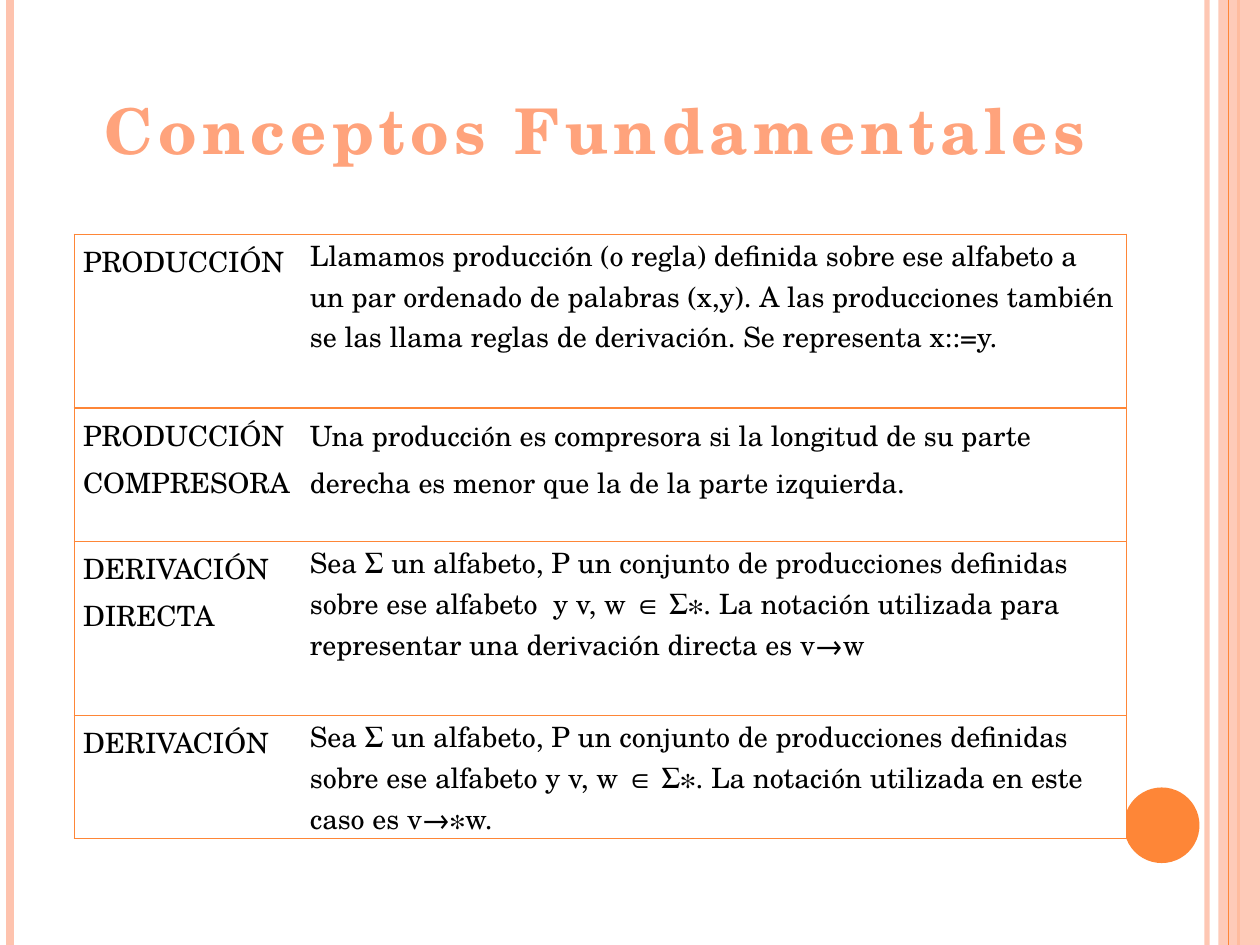
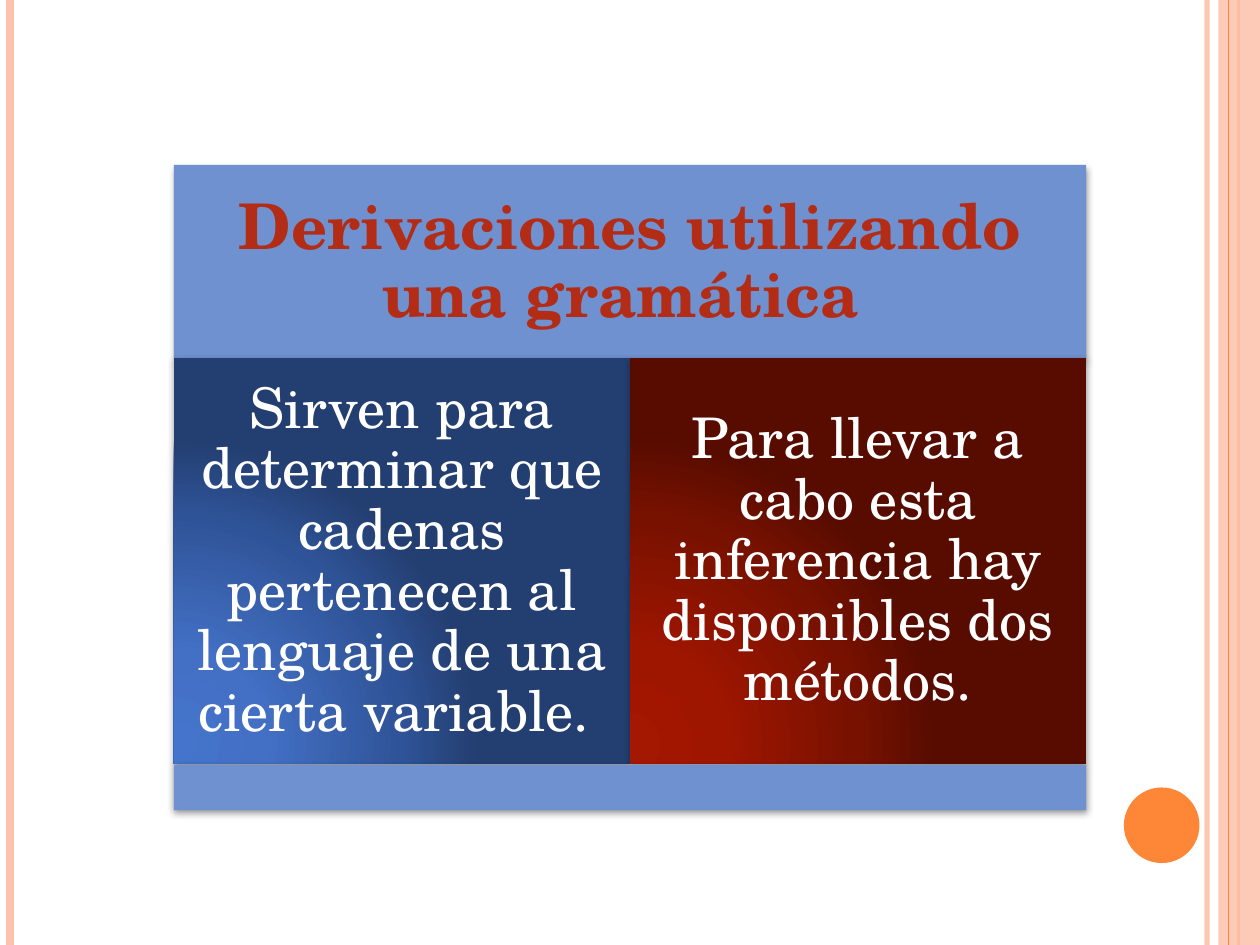
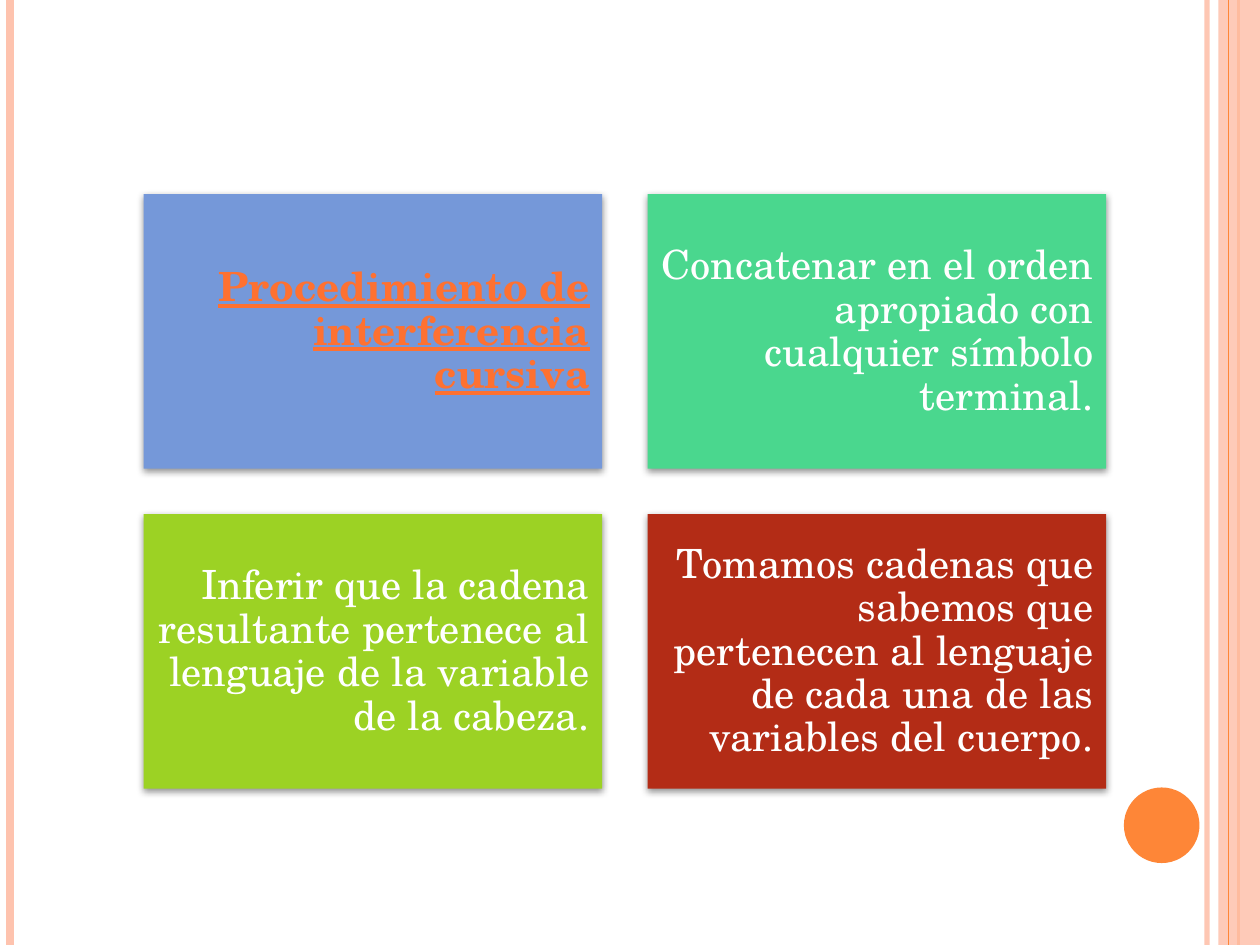
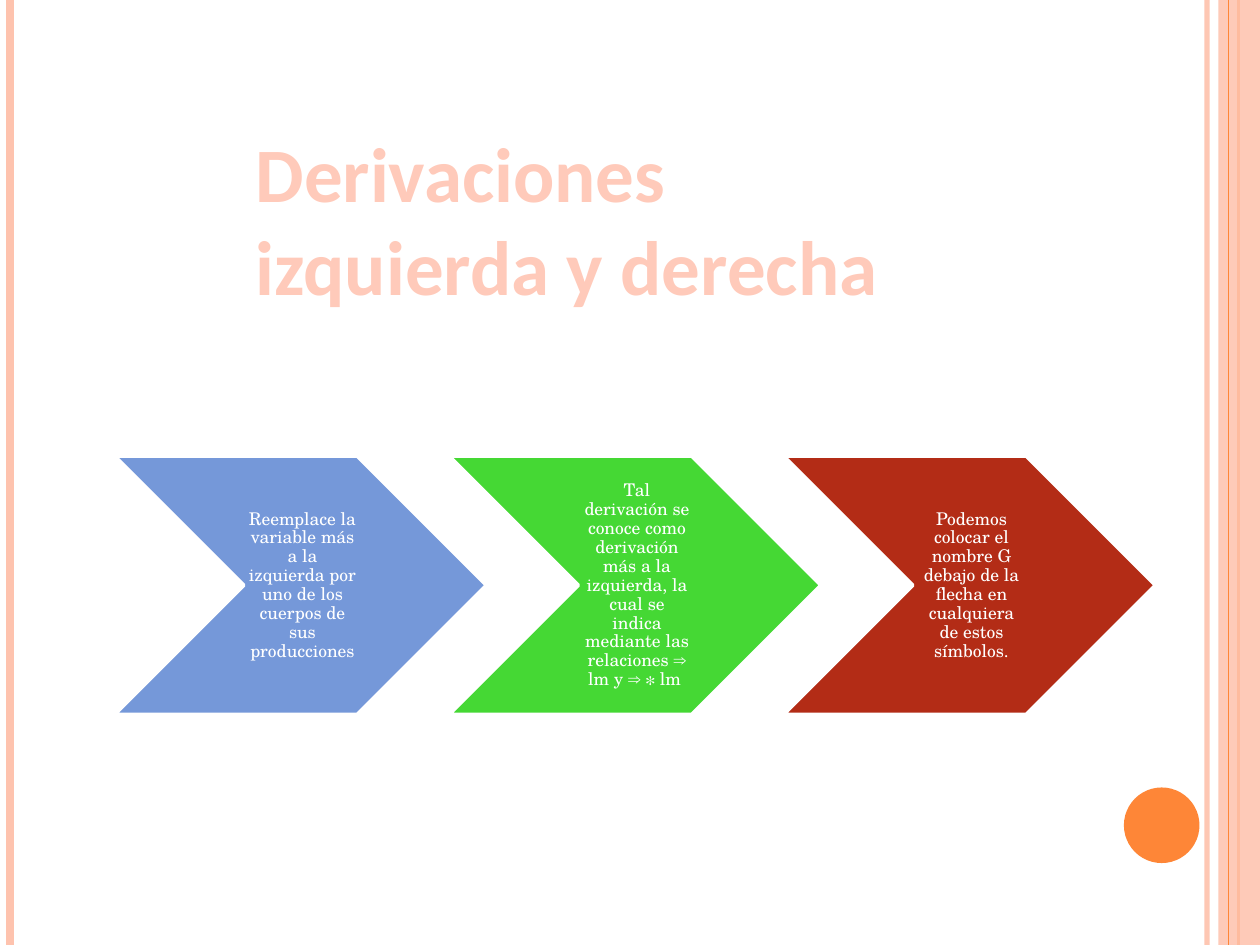
from pptx import Presentation
from pptx.dml.color import RGBColor
from pptx.enum.shapes import MSO_CONNECTOR as Connector, MSO_SHAPE as Preset
from pptx.enum.text import MSO_ANCHOR as Anchor, MSO_AUTO_SIZE as AutoSize, PP_ALIGN as Align
from pptx.oxml import parse_xml
from pptx.oxml.ns import nsdecls, qn
from pptx.util import Emu, Inches, Pt

COLORS = {
    "white": "FFFFFF", "black": "000000", "peach": "FEC3AE", "orange": "FE8637",
    "title": "FFA37C", "pale_title": "FFCABA", "heading": "FE7131",
    "band": "7091CF", "blue": "7598D9", "mint": "4AD78E", "lime": "9CD224",
    "green": "45D834", "red": "B32C16",
}
BLUE_GLOW = {0: "4574CC", 30: "4370C5", 75: "2F5397", 100: "233E70"}
RED_GLOW = {0: "A41700", 30: "9F1600", 75: "771100", 100: "580C00"}
SERIF, SANS = "TeX Gyre Schola", "Calibri"
COLUMNS, ROWS = 10, 7.5
DIAGRAM_LEADING = 1.08

DEFINITIONS = [
    ("PRODUCCIÓN", 1.38, 1,
     "Llamamos producción (o regla) definida sobre ese alfabeto a un par ordenado de palabras (x,y). "
     "A las producciones también se las llama reglas de derivación. Se representa x::=y."),
    ("PRODUCCIÓN COMPRESORA", 1.06, 1.15,
     "Una producción es compresora si la longitud de su parte derecha es menor que la de la parte "
     "izquierda."),
    ("DERIVACIÓN DIRECTA", 1.38, 1,
     "Sea Σ un alfabeto, P un conjunto de producciones definidas sobre ese alfabeto  y v, w ∈ Σ∗. "
     "La notación utilizada para representar una derivación directa es v→w"),
    ("DERIVACIÓN", 0.92, 1,
     "Sea Σ un alfabeto, P un conjunto de producciones definidas sobre ese alfabeto y v, w ∈ Σ∗. "
     "La notación utilizada en este caso es v→∗w."),
]
PURPOSES = [
    (BLUE_GLOW, "Sirven para determinar que cadenas pertenecen al lenguaje de una cierta variable. "),
    (RED_GLOW, "Para llevar a cabo esta inferencia hay disponibles dos métodos."),
]
PROCEDURE = [
    ("blue", "Procedimiento de interferencia cursiva"),
    ("mint", "Concatenar en el orden apropiado con cualquier símbolo terminal."),
    ("lime", "Inferir que la cadena resultante pertenece al lenguaje de la variable de la cabeza."),
    ("red", "Tomamos cadenas que sabemos que pertenecen al lenguaje de cada una de las variables "
            "del cuerpo."),
]
STEPS = [
    ("blue", "Reemplace la variable más a la izquierda por uno de los cuerpos de sus producciones"),
    ("green", "Tal derivación se conoce como derivación más a la izquierda, la cual se indica mediante "
              "las relaciones ⇒ lm y ⇒ ∗ lm "),
    ("red", "Podemos colocar el nombre G debajo de la flecha en cualquiera de estos símbolos."),
]


def rgb(name):
    return RGBColor.from_string(COLORS[name])


def xml(tag, attributes="", inner=""):
    return parse_xml(f"<a:{tag} {nsdecls('a')} {attributes}>{inner}</a:{tag}>")


def set_alpha(element, percent):
    element.find(".//" + qn("a:srgbClr")).append(xml("alpha", f'val="{percent * 1000}"'))


class Deck:
    """Holds the style and the current slide; lengths are cells of a 10 by 7.5 grid."""

    def __init__(self):
        self.prs = Presentation()
        self.prs.slide_width, self.prs.slide_height = Inches(10), Inches(7.5)
        self.cell = self.prs.slide_width / COLUMNS

    def grid(self, *cells):
        return [Emu(round(count * self.cell)) for count in cells]

    def new_slide(self):
        self.slide = self.prs.slides.add_slide(self.prs.slide_layouts[6])
        self.rule(9.58, "peach", 3, alpha=93)
        self.rule(0.08, "peach", 4.5)
        self.rule(9.83, "orange", 1.5)
        edge = self.shape((9.67, 0, 0.33, ROWS), "peach")
        set_alpha(edge._element.spPr, 87)
        self.rule(9.75, "orange", 0.75)
        self.shape((8.92, 6.25, 0.6, 0.6), "orange", Preset.OVAL)

    def rule(self, column, color, width, alpha=None):
        """Vertical line over the whole height of the slide."""
        rule = self.slide.shapes.add_connector(
            Connector.STRAIGHT, *self.grid(column, 0, column, ROWS))
        rule.line.color.rgb, rule.line.width = rgb(color), Pt(width)
        properties = rule._element.spPr
        properties.append(xml("effectLst"))
        if alpha:
            set_alpha(properties, alpha)

    def shape(self, box, color=None, preset=Preset.RECTANGLE, outline=None):
        shape = self.slide.shapes.add_shape(preset, *self.grid(*box))
        shape.shadow.inherit = False
        if color:
            shape.fill.solid()
            shape.fill.fore_color.rgb = rgb(color)
        if outline:
            shape.line.color.rgb, shape.line.width = rgb(outline), Pt(2)
        else:
            shape.line.fill.background()
        return shape

    def panel(self, box, color=None, glow=None):
        """Rectangle with a soft shadow, filled plainly or with a glow from its lower left."""
        panel = self.shape(box, color)
        properties = panel._element.spPr
        properties.find(qn("a:effectLst")).append(xml(
            "outerShdw", 'blurRad="50800" dist="20320" dir="5400000" rotWithShape="0"',
            '<a:srgbClr val="000000"><a:alpha val="42000"/></a:srgbClr>'))
        if glow:
            stops = "".join(f'<a:gs pos="{share * 1000}"><a:srgbClr val="{tone}"/></a:gs>'
                            for share, tone in glow.items())
            center = '<a:fillToRect l="5000" t="100000" r="120000" b="10000"/>'
            properties.find(qn("a:prstGeom")).addnext(xml(
                "gradFill", 'rotWithShape="1"',
                f'<a:gsLst>{stops}</a:gsLst><a:path path="circle">{center}</a:path>'))
        return panel

    def set_text(self, frame, text, size, color="white", align=Align.CENTER, font=SERIF,
                 bold=False, underline=False, leading=None):
        frame.text = text
        paragraph = frame.paragraphs[0]
        paragraph.alignment, paragraph.line_spacing = align, leading
        for run in paragraph.runs:
            run.font.name, run.font.size = font, Pt(size)
            run.font.bold, run.font.underline = bold, underline
            run.font.color.rgb = rgb(color)
        return paragraph

    def label(self, shape, text, size, insets, **style):
        frame = shape.text_frame
        frame.word_wrap, frame.vertical_anchor = True, Anchor.MIDDLE
        (frame.margin_left, frame.margin_top,
         frame.margin_right, frame.margin_bottom) = self.grid(*insets)
        self.set_text(frame, text, size, leading=Pt(round(size * DIAGRAM_LEADING, 1)), **style)

    def title(self, box, text, size, color, wrap=True, spacing=0, **style):
        frame = self.slide.shapes.add_textbox(*self.grid(*box)).text_frame
        frame.word_wrap, frame.auto_size = wrap, AutoSize.SHAPE_TO_FIT_TEXT
        frame.vertical_anchor = Anchor.MIDDLE if wrap else Anchor.TOP
        title = self.set_text(frame, text, size, color, bold=True, **style)
        if spacing:
            title.runs[0].font._element.set("spc", str(spacing * 100))

    def definitions(self, box, widths, entries):
        """Two-column table of terms and meanings, ruled between rows only."""
        table = self.slide.shapes.add_table(len(entries), 2, *self.grid(*box)).table
        table.first_row = table.horz_banding = False
        for column, width in zip(table.columns, self.grid(*widths)):
            column.width = width
        for row, (term, height, leading, meaning) in enumerate(entries):
            table.rows[row].height = self.grid(height)[0]
            self.table_cell(table.cell(row, 0), term, Align.JUSTIFY, 1.15, "LTB")
            self.table_cell(table.cell(row, 1), meaning, Align.LEFT, leading, "RTB")

    def table_cell(self, cell, text, align, leading, ruled_sides):
        (cell.margin_left, cell.margin_top,
         cell.margin_right, cell.margin_bottom) = self.grid(0.07, 0, 0.07, 0)
        self.set_text(cell.text_frame, text, 16, "black", align, leading=leading)
        cell.fill.solid()
        cell.fill.fore_color.rgb = rgb("white")
        ink = f'<a:solidFill><a:srgbClr val="{COLORS["orange"]}"/></a:solidFill>'
        for position, side in enumerate("LRTB"):
            cell._tc.tcPr.insert(position, xml(
                f"ln{side}", 'w="12700"', ink if side in ruled_sides else "<a:noFill/>"))


def concepts(deck):
    deck.new_slide()
    deck.definitions((0.59, 1.86, 8.35, 4.74), (1.8, 6.55), DEFINITIONS)
    deck.title((0.67, 0.68, 8.11, 0.71), "Conceptos Fundamentales", 36, "title",
               wrap=False, spacing=3)


def grammar_derivations(deck):
    deck.new_slide()
    left, width = 1.38, 7.24
    heading = deck.panel((left, 1.31, width, 1.54), "band")
    deck.label(heading, "Derivaciones utilizando una gramática ", 36, [0.15] * 4,
               color="red", bold=True)
    half = width / 2
    for column, (glow, purpose) in enumerate(PURPOSES):
        panel = deck.panel((left + column * half, 2.84, half, 3.22), glow=glow)
        deck.label(panel, purpose, 32, [0.13] * 4)
    deck.panel((left, 6.07, width, 0.36), "band")


def inference_procedure(deck):
    deck.new_slide()
    width, height, gap = 3.64, 2.18, 0.36
    for index, (color, text) in enumerate(PROCEDURE):
        row, column = divmod(index, 2)
        panel = deck.panel((1.14 + column * (width + gap), 1.54 + row * (height + gap),
                            width, height), color)
        is_heading = index == 0
        deck.label(panel, text, 23, [0.1] * 4, align=Align.RIGHT,
                   color="heading" if is_heading else "white",
                   bold=is_heading, underline=is_heading)


def left_and_right(deck):
    deck.new_slide()
    deck.title((1.93, 0.94, 5.51, 1.58), "Derivaciones izquierda y derecha ", 44, "pale_title",
               font=SANS, align=Align.JUSTIFY)
    width = 2.95
    for index, (color, step) in enumerate(STEPS):
        chevron = deck.shape((0.91 + index * width * 0.9, 3.62, width, 2.05), color,
                             Preset.CHEVRON, outline="white")
        deck.label(chevron, step, 10, (0.04, 0.01, 0.01, 0.01))


def main():
    deck = Deck()
    for build in (concepts, grammar_derivations, inference_procedure, left_and_right):
        build(deck)
    deck.prs.save("out.pptx")


if __name__ == "__main__":
    main()
